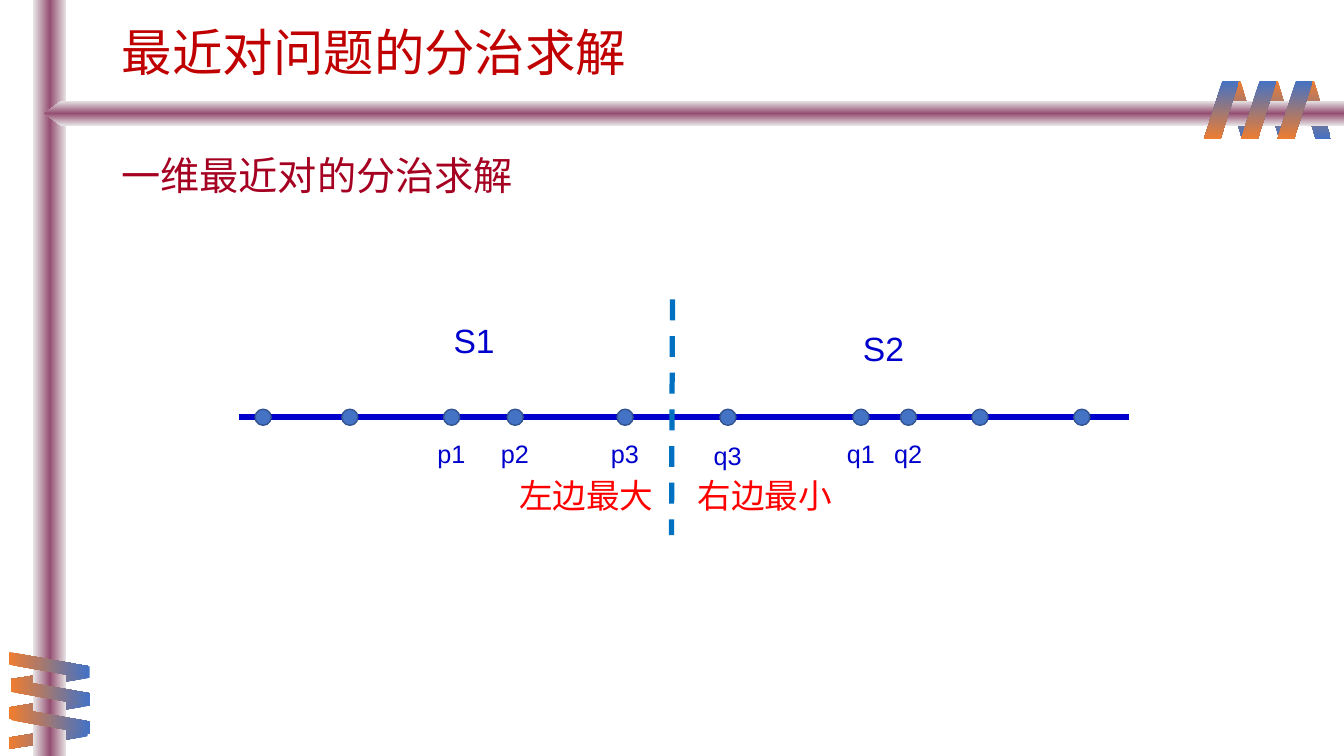
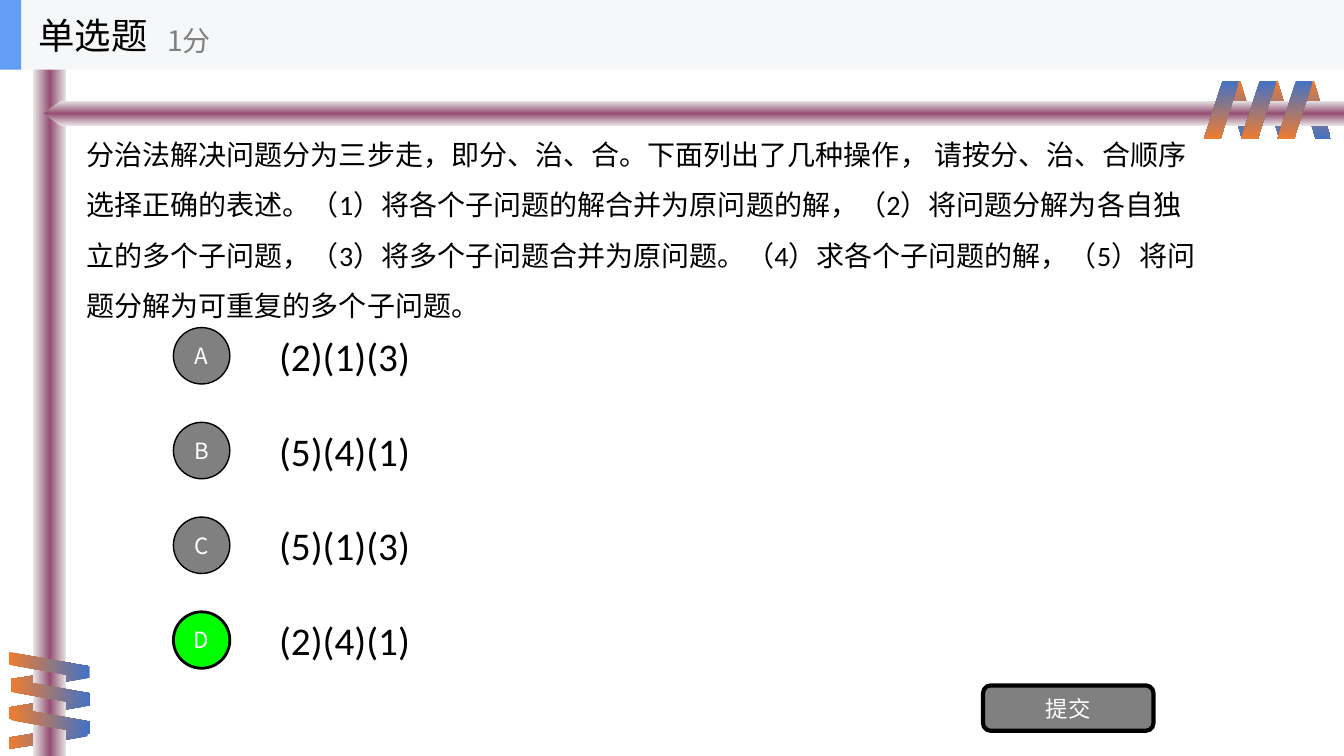
from dataclasses import dataclass

import pptx
import pptx.dml.color
import pptx.enum.dml
import pptx.enum.shapes
import pptx.enum.text
import pptx.oxml
import pptx.oxml.ns
import pptx.util

Inches = pptx.util.Inches
Shape = pptx.enum.shapes.MSO_SHAPE
Align = pptx.enum.text.PP_ALIGN
Anchor = pptx.enum.text.MSO_ANCHOR


@dataclass(frozen=True)
class Theme:
    serif: str = "Times New Roman"
    sans: str = "Arial"
    body: str = "Calibri"
    quiz: str = "Noto Sans CJK SC"
    title_size: int = 36
    heading_size: int = 28
    quiz_title_size: int = 26
    side_size: int = 24
    question_size: int = 20
    label_size: int = 18
    button_size: int = 16
    title: str = "C00000"
    heading: str = "A50021"
    axis: str = "0000CC"
    divider: str = "0070C0"
    note: str = "FF0000"
    dot: str = "4472C4"
    dot_edge: str = "325491"
    black: str = "000000"
    white: str = "FFFFFF"
    gray: str = "808080"
    correct: str = "00FF00"
    band: str = "F6F7F8"
    accent: str = "639EF4"
    bar: tuple = ("E7E6E6", "954F72", "E7E6E6")
    blue_orange: tuple = ("4472C4", "ED7D31")
    orange_blue: tuple = ("ED7D31", "4472C4")


THEME = Theme()
SLIDE_WIDTH, SLIDE_HEIGHT = 13.33, 7.5

SIDE_BACK = [(0.38, 6.34), (0.36, 6.62), (0.36, 6.92)]
SIDE_FRONT = [(0.35, 6.21), (0.37, 6.48), (0.37, 6.76)]
TOP_BACK = [(12.88, 0.8), (12.52, 0.8), (12.15, 0.8)]
TOP_FRONT = [(12.67, 0.8), (12.31, 0.8), (11.94, 0.8)]

PAIR_TITLE = "最近对问题的分治求解"
PAIR_HEADING = "一维最近对的分治求解"
AXIS_Y = 4.14
POINTS = [
    (2.61, None), (3.47, None), (4.48, "p1"), (5.11, "p2"), (6.2, "p3"),
    (7.22, "q3"), (8.54, "q1"), (9.01, "q2"), (9.72, None), (10.73, None),
]
LABEL_TOPS = {"q3": 4.32}
SIDES = [("S1", 4.4, 3.12), ("S2", 8.46, 3.2)]
NOTES = [("左边最大", 5.05), ("右边最小", 6.82)]

QUIZ_TITLE = "单选题"
QUIZ_SCORE = "1分"
QUESTION = (
    "分治法解决问题分为三步走，即分、治、合。下面列出了几种操作， 请按分、治、合顺序选择正确的表述。"
    "（1）将各个子问题的解合并为原问题的解，（2）将问题分解为各自独立的多个子问题，"
    "（3）将多个子问题合并为原问题。（4）求各个子问题的解，（5）将问题分解为可重复的多个子问题。"
)
OPTIONS = [("A", "(2)(1)(3)"), ("B", "(5)(4)(1)"), ("C", "(5)(1)(3)"), ("D", "(2)(4)(1)")]
ANSWER = "D"
SUBMIT = "提交"


def rgb(color):
    return pptx.dml.color.RGBColor.from_string(color)


def place(shape, area):
    shape.left, shape.top, shape.width, shape.height = map(Inches, area)


def write(shape, text, size, font, color, align=Align.LEFT, anchor=Anchor.MIDDLE, spacing=None):
    frame = shape.text_frame
    frame.word_wrap = True
    frame.vertical_anchor = anchor
    para = frame.paragraphs[0]
    para.text = text
    para.alignment = align
    if spacing:
        para.line_spacing = spacing
    para.font.size = pptx.util.Pt(size)
    para.font.name = font
    para.font.color.rgb = rgb(color)


def add_text(page, area, text, size, font, color, **options):
    box = page.shapes.add_textbox(*map(Inches, area))
    write(box, text, size, font, color, **options)
    return box


def add_label(page, area, text, size, font, color, **options):
    box = add_text(page, area, text, size, font, color, anchor=Anchor.TOP, **options)
    box.text_frame.word_wrap = False
    box.text_frame.auto_size = pptx.enum.text.MSO_AUTO_SIZE.SHAPE_TO_FIT_TEXT


def add_shape(page, kind, area, fill=None, edge=None, weight=1):
    shape = page.shapes.add_shape(kind, *map(Inches, area))
    shape.shadow.inherit = False
    if fill:
        shape.fill.solid()
        shape.fill.fore_color.rgb = rgb(fill)
    else:
        shape.fill.background()
    if edge:
        shape.line.color.rgb = rgb(edge)
        shape.line.width = pptx.util.Pt(weight)
    else:
        shape.line.fill.background()
    return shape


def add_button(page, kind, area, text, fill, weight):
    button = add_shape(page, kind, area, fill, THEME.black, weight)
    write(button, text, THEME.button_size, THEME.quiz, THEME.white, align=Align.CENTER)
    frame = button.text_frame
    frame.margin_left = frame.margin_right = 0


def add_gradient_shape(page, kind, area, colors, angle, rotation=0, flip=False, adjust=None):
    shape = add_shape(page, kind, area)
    shape.rotation = rotation
    if adjust is not None:
        shape.adjustments[0] = adjust
    properties = shape.element.spPr
    if flip:
        properties.find(pptx.oxml.ns.qn("a:xfrm")).set("flipH", "1")
    step = 100000 // (len(colors) - 1)
    stops = "".join(
        f'<a:gs pos="{index * step}"><a:srgbClr val="{color}"/></a:gs>'
        for index, color in enumerate(colors)
    )
    gradient = pptx.oxml.parse_xml(
        f'<a:gradFill {pptx.oxml.ns.nsdecls("a")} rotWithShape="0"><a:gsLst>{stops}</a:gsLst>'
        f'<a:lin ang="{angle * 60000}" scaled="0"/></a:gradFill>'
    )
    properties.replace(properties.find(pptx.oxml.ns.qn("a:noFill")), gradient)


def add_ribbon(page, corners, width, height, colors, angle, rotation=0, flip=False):
    for left, top in corners:
        add_gradient_shape(page, Shape.PARALLELOGRAM, (left, top, width, height),
                           colors, angle, rotation, flip, 0.53)


def add_line(page, start, end, color, weight):
    line = page.shapes.add_connector(
        pptx.enum.shapes.MSO_CONNECTOR.STRAIGHT, *map(Inches, start + end))
    line.line.color.rgb = rgb(color)
    line.line.width = pptx.util.Pt(weight)
    line.element.spPr.append(
        pptx.oxml.parse_xml(f'<a:effectLst {pptx.oxml.ns.nsdecls("a")}/>'))
    return line


def decorate_master(deck, page):
    title = page.shapes.title
    add_ribbon(page, SIDE_BACK, 0.24, 0.78, THEME.blue_orange, 0, 90, True)
    add_gradient_shape(page, Shape.RECTANGLE, (0.33, 0, 0.33, SLIDE_HEIGHT), THEME.bar, 0)
    add_ribbon(page, SIDE_FRONT, 0.26, 0.78, THEME.orange_blue, 0, 270)
    add_ribbon(page, TOP_BACK, 0.32, 0.58, THEME.orange_blue, 90, 180, True)
    add_gradient_shape(page, Shape.PENTAGON, (0.44, 1, 12.89, 0.25), THEME.bar, 90,
                       flip=True, adjust=0.678)
    add_ribbon(page, TOP_FRONT, 0.35, 0.58, THEME.blue_orange, 90)
    decorations = [shape for shape in page.shapes if shape.shape_id != title.shape_id]
    for number, shape in enumerate(decorations, start=100):
        shape.element.nvSpPr.cNvPr.set("id", str(number))
        deck.slide_master.shapes.element.append(shape.element)


def build_pair_page(page):
    title = page.shapes.title
    place(title, (1.11, 0.17, 12.22, 0.75))
    write(title, PAIR_TITLE, THEME.title_size, THEME.serif, THEME.title, spacing=0.9)
    add_line(page, (2.37, AXIS_Y), (11.2, AXIS_Y), THEME.axis, 4)
    for center, label in POINTS:
        add_shape(page, Shape.OVAL, (center - 0.08, AXIS_Y - 0.08, 0.16, 0.16),
                  THEME.dot, THEME.dot_edge)
        if label:
            add_label(page, (center - 0.24, LABEL_TOPS.get(label, 4.3), 0.48, 0.4), label,
                      THEME.label_size, THEME.sans, THEME.axis)
    divider = add_line(page, (6.67, 2.97), (6.66, 5.31), THEME.divider, 3.75)
    divider.line.dash_style = pptx.enum.dml.MSO_LINE.DASH
    for text, left, top in SIDES:
        add_label(page, (left, top, 0.61, 0.5), text, THEME.side_size, THEME.sans, THEME.axis)
    add_label(page, (1.1, 1.45, 4.09, 0.57), PAIR_HEADING, THEME.heading_size,
              THEME.serif, THEME.heading, align=Align.CENTER)
    for text, left in NOTES:
        add_text(page, (left, 4.54, 1.65, 0.75), text, THEME.side_size, THEME.serif, THEME.note)


def build_quiz_page(page):
    add_text(page, (0.76, 1.21, 11.24, 1.97), QUESTION, THEME.question_size,
             THEME.body, THEME.black, spacing=1.5)
    for index, (letter, text) in enumerate(OPTIONS):
        top = 3.25 + index * 0.94
        correct = letter == ANSWER
        add_text(page, (2.67, top - 0.07, 9.33, 0.7), text, THEME.heading_size,
                 THEME.body, THEME.black)
        add_button(page, Shape.OVAL, (1.72, top, 0.56, 0.56), letter,
                   THEME.correct if correct else THEME.gray, 2 if correct else 1)
    add_button(page, Shape.ROUNDED_RECTANGLE, (9.75, 6.8, 1.69, 0.45), SUBMIT, THEME.gray, 3)
    add_shape(page, Shape.RECTANGLE, (0, 0, SLIDE_WIDTH, 0.69), THEME.band)
    add_shape(page, Shape.RECTANGLE, (0, 0, 0.21, 0.69), THEME.accent)
    title = page.shapes.title
    place(title, (0.28, 0, 2.08, 0.69))
    write(title, QUIZ_TITLE, THEME.quiz_title_size, THEME.quiz, THEME.black)
    page.shapes.element.append(title.element)
    add_text(page, (1.56, 0.12, 2.5, 0.56), QUIZ_SCORE, THEME.question_size,
             THEME.quiz, THEME.gray)


def main():
    deck = pptx.Presentation()
    deck.slide_width, deck.slide_height = Inches(SLIDE_WIDTH), Inches(SLIDE_HEIGHT)
    title_only = deck.slide_layouts[5]
    pair_page, quiz_page = (deck.slides.add_slide(title_only) for _ in range(2))
    decorate_master(deck, pair_page)
    build_pair_page(pair_page)
    build_quiz_page(quiz_page)
    deck.save("out.pptx")


if __name__ == "__main__":
    main()
